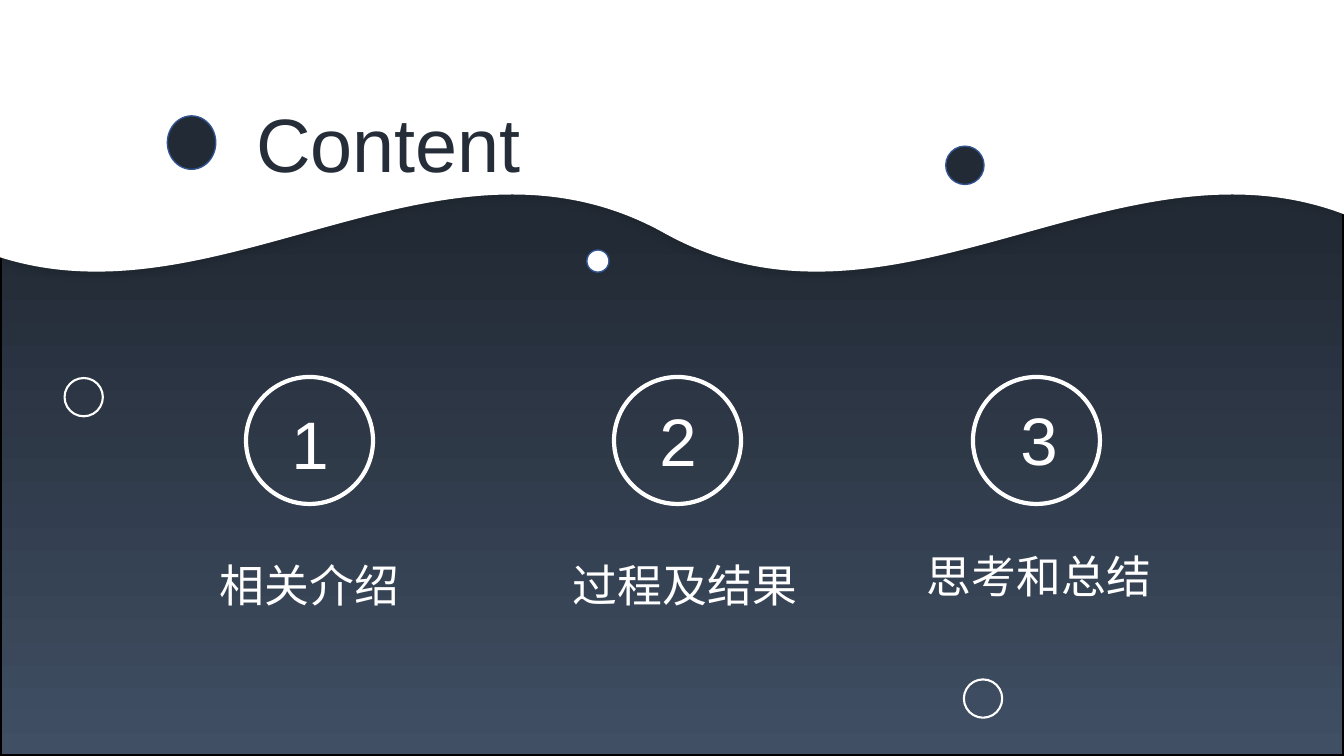
import lxml.etree
import pptx
import pptx.dml.color
import pptx.enum.shapes
import pptx.enum.text
import pptx.oxml.ns
import pptx.util

Inches = pptx.util.Inches
SHAPES = pptx.enum.shapes.MSO_SHAPE
ALIGN = pptx.enum.text.PP_ALIGN
NAVY, SLATE, WHITE, BLUE, INK = "222A35", "404F64", "FFFFFF", "325491", "252D39"

TOPICS = [
    {"number": "1", "title": "相关介绍", "left": 2.44, "number_at": (0.23, 0.2), "title_at": (-0.38, 1.74), "title_width": 2.02},
    {"number": "2", "title": "过程及结果", "left": 6.09, "number_at": (0.23, 0.17), "title_at": (-0.59, 1.74), "title_width": 2.59},
    {"number": "3", "title": "思考和总结", "left": 9.65, "number_at": (0.25, 0.16), "title_at": (-0.64, 1.65), "title_width": 2.59},
]
DOTS = [
    {"box": (1.66, 1.15, 0.48, 0.53), "fill": NAVY, "line": BLUE, "width": 1},
    {"box": (9.38, 1.45, 0.38, 0.38), "fill": NAVY, "line": BLUE, "width": 1},
    {"box": (5.82, 2.48, 0.22, 0.22), "fill": WHITE, "line": BLUE, "width": 1},
    {"box": (0.64, 3.75, 0.38, 0.38), "line": WHITE, "width": 1.5},
    {"box": (9.56, 6.74, 0.38, 0.38), "line": WHITE, "width": 1.5},
]


def color(value):
    """Turn a hex string into a colour."""
    return pptx.dml.color.RGBColor.from_string(value)


def add_shape(shapes, kind, box, fill=None, line=None, width=1):
    """Add a shadowless preset shape with an optional fill and outline."""
    shape = shapes.add_shape(kind, *map(Inches, box))
    shape.shadow.inherit = False
    if fill:
        shape.fill.solid()
        shape.fill.fore_color.rgb = color(fill)
    else:
        shape.fill.background()
    if line:
        shape.line.color.rgb = color(line)
        shape.line.width = pptx.util.Pt(width)
    else:
        shape.line.fill.background()
    return shape


def write_text(shape, text, size, ink=WHITE, align=ALIGN.CENTER):
    """Write one formatted paragraph into a shape."""
    frame = shape.text_frame
    frame.text = text
    frame_format = {
        "word_wrap": True,
        "auto_size": pptx.enum.text.MSO_AUTO_SIZE.NONE,
        "vertical_anchor": pptx.enum.text.MSO_ANCHOR.TOP,
    }
    for name, value in frame_format.items():
        setattr(frame, name, value)
    paragraph = frame.paragraphs[0]
    paragraph.alignment = align
    font = paragraph.runs[0].font
    for name, value in {"name": "Arial", "size": pptx.util.Pt(size)}.items():
        setattr(font, name, value)
    font.color.rgb = color(ink)


def add_label(shapes, box, text, size):
    """Add a centred white text box."""
    write_text(shapes.add_textbox(*map(Inches, box)), text, size)


def add_backdrop(slide, box):
    """Fill the box with a dark gradient that lightens downwards."""
    backdrop = add_shape(slide.shapes, SHAPES.RECTANGLE, box, line="000000", width=2.25)
    backdrop.fill.gradient()
    backdrop.fill.gradient_angle = 270
    for stop, position, value in zip(backdrop.fill.gradient_stops, (0.21, 1), (NAVY, SLATE)):
        stop.position = position
        stop.color.rgb = color(value)


def add_wave(slide, box):
    """Cover the top of the slide with a white wave and a soft shadow."""
    wave = add_shape(slide.shapes, SHAPES.DOUBLE_WAVE, box, fill=WHITE)
    wave.adjustments[0] = 0.112
    wave.adjustments[1] = -0.002
    properties = wave._element.spPr
    properties.xfrm.set("flipV", "1")
    name = pptx.oxml.ns.qn
    effects = properties.find(name("a:effectLst"))
    shadow = lxml.etree.SubElement(
        effects, name("a:outerShdw"), blurRad=str(pptx.util.Pt(10)),
        dist=str(pptx.util.Pt(3)), dir="16200000", algn="b", rotWithShape="0")
    shade = lxml.etree.SubElement(shadow, name("a:srgbClr"), val="000000")
    lxml.etree.SubElement(shade, name("a:alpha"), val="38000")


def place_title(slide, box):
    """Move the title placeholder into the box, in front of the wave."""
    title = slide.shapes.title
    for name, value in zip(("left", "top", "width", "height"), box):
        setattr(title, name, Inches(value))
    write_text(title, "Content", 54, INK, ALIGN.LEFT)
    slide.shapes._spTree.append(title._element)


def add_topic(slide, topic, top):
    """Add a numbered ring with the topic's title below it."""
    left = topic["left"]
    group = slide.shapes.add_group_shape()
    add_shape(group.shapes, SHAPES.OVAL, (left, top, 1.26, 1.26), line=WHITE, width=3)
    across, down = topic["number_at"]
    add_label(group.shapes, (left + across, top + down, 0.81, 0.91), topic["number"], 48)
    across, down = topic["title_at"]
    add_label(slide.shapes, (left + across, top + down, topic["title_width"], 0.64), topic["title"], 32)


def build_contents(presentation):
    """Build the contents slide."""
    slide = presentation.slides.add_slide(presentation.slide_layouts[5])
    add_backdrop(slide, (0, 0.91, 13.33, 6.59))
    add_wave(slide, (-0.61, -0.84, 14.34, 3.55))
    place_title(slide, (2.44, 0.91, 2.83, 1.01))
    for topic in TOPICS:
        add_topic(slide, topic, 3.74)
    for dot in DOTS:
        add_shape(slide.shapes, SHAPES.OVAL, **dot)


def main():
    """Create and save the presentation."""
    presentation = pptx.Presentation()
    presentation.slide_width = Inches(13.33)
    presentation.slide_height = Inches(7.5)
    build_contents(presentation)
    presentation.save("out.pptx")


if __name__ == "__main__":
    main()
